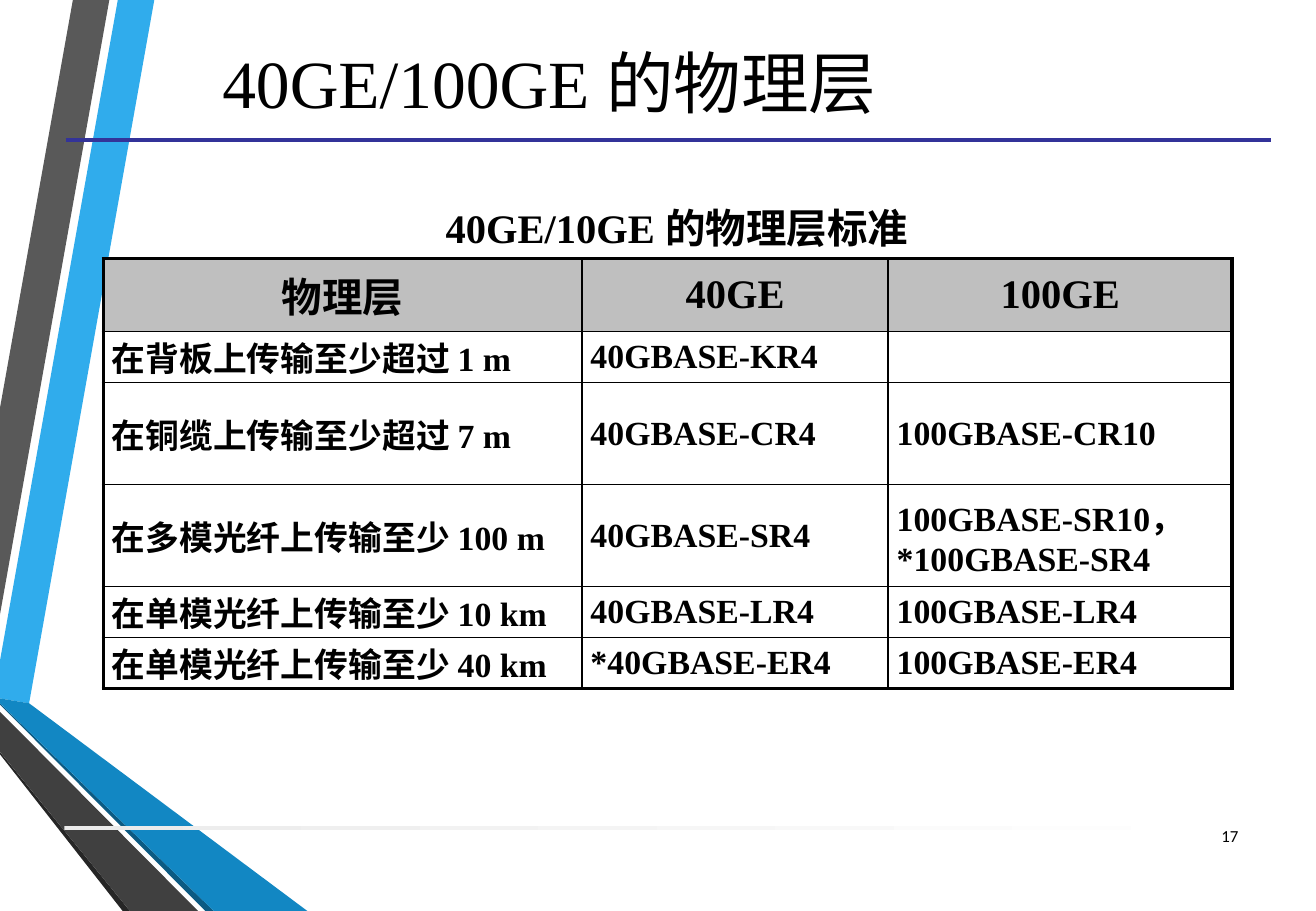
import lxml.etree
import pptx
import pptx.dml.color
import pptx.enum.shapes
import pptx.enum.text
import pptx.oxml.ns
import pptx.util

PX = 9144  # EMU per px, 100 px to the inch
SERIF = "Times New Roman"
SANS = "Calibri"
ALIGN = pptx.enum.text.PP_ALIGN
MIDDLE = pptx.enum.text.MSO_ANCHOR.MIDDLE
THIN, THICK = 1, 2.25

COLORS = {
    "text": "000000",
    "header": "BFBFBF",
    "title_rule": "333399",
    "fade_start": "EBEBEB",
    "fade_end": "FFFFFF",
    "sky": "30ACEC",
    "gray": "595959",
    "black": "262626",
    "teal": "0C5A82",
    "blue": "1287C3",
    "charcoal": "404040",
}

RIBBONS = [
    ("sky", [(0, 544), (0, 575), (24, 579), (127, 0), (97, 0)]),
    ("gray", [(90, 0), (60, 0), (0, 336), (0, 506)]),
    ("black", [(0, 619), (0, 621), (101, 750), (107, 750)]),
    ("teal", [(0, 579), (0, 580), (169, 750), (176, 750)]),
    ("blue", [(0, 579), (176, 750), (253, 750), (24, 579), (0, 575)]),
    ("charcoal", [(0, 619), (107, 750), (163, 750), (0, 586)]),
]

COLUMN_WIDTHS = [394, 252, 283]
ROW_HEIGHTS = [60, 42, 84, 84, 42, 42]
STANDARDS = [
    ["物理层", "40GE", "100GE"],
    ["在背板上传输至少超过 1 m", "40GBASE-KR4", ""],
    ["在铜缆上传输至少超过 7 m", "40GBASE-CR4", "100GBASE-CR10"],
    ["在多模光纤上传输至少 100 m", "40GBASE-SR4", "100GBASE-SR10，\n*100GBASE-SR4"],
    ["在单模光纤上传输至少 10 km", "40GBASE-LR4", "100GBASE-LR4"],
    ["在单模光纤上传输至少 40 km", "*40GBASE-ER4", "100GBASE-ER4"],
]


def px(*lengths):
    return [pptx.util.Emu(length * PX) for length in lengths]


def rgb(name):
    return pptx.dml.color.RGBColor.from_string(COLORS[name])


def format_paragraph(paragraph, size, align, font=SERIF, bold=False):
    paragraph.alignment = align
    paragraph.font.size = pptx.util.Pt(size)
    paragraph.font.name = font
    paragraph.font.bold = bold
    paragraph.font.color.rgb = rgb("text")


def add_ribbon(slide, color, points):
    start, *others = points
    builder = slide.shapes.build_freeform(*start, scale=PX)
    builder.add_line_segments(others, close=True)
    shape = builder.convert_to_shape()
    shape.shadow.inherit = False
    shape.fill.solid()
    shape.fill.fore_color.rgb = rgb(color)
    shape.line.fill.background()


def add_fading_bar(slide, *box):
    shape = slide.shapes.add_shape(
        pptx.enum.shapes.MSO_SHAPE.RECTANGLE, *px(*box))
    shape.shadow.inherit = False
    shape.line.fill.background()
    shape.fill.gradient()
    shape.fill.gradient_angle = 0
    for stop, name in zip(shape.fill.gradient_stops, ("fade_start", "fade_end")):
        stop.color.rgb = rgb(name)


def add_rule(slide, *ends):
    connector = slide.shapes.add_connector(
        pptx.enum.shapes.MSO_CONNECTOR.STRAIGHT, *px(*ends))
    connector.line.color.rgb = rgb("title_rule")
    connector.line.width = pptx.util.Pt(THICK)
    lxml.etree.SubElement(
        connector.element.spPr, pptx.oxml.ns.qn("a:effectLst"))


def add_title(slide, *box):
    title = slide.shapes.title
    slide.shapes.element.append(title.element)  # bring in front of the ribbons
    title.left, title.top, title.width, title.height = px(*box)
    title.text_frame.vertical_anchor = MIDDLE
    paragraph = title.text_frame.paragraphs[0]
    format_paragraph(paragraph, 40, ALIGN.CENTER)
    paragraph.add_run().text = "40GE/100GE 的"
    layer_run = paragraph.add_run()
    layer_run.text = "物理层"
    layer_run.font.name = SANS


def add_text(slide, box, text, *style, **options):
    frame = slide.shapes.add_textbox(*px(*box)).text_frame
    frame.word_wrap = True
    frame.vertical_anchor = MIDDLE
    frame.text = text
    format_paragraph(frame.paragraphs[0], *style, **options)


def set_borders(cell, **widths):
    """Draw the borders named L, R, T and B, widths in points."""
    properties = cell._tc.get_or_add_tcPr()
    for side, width in widths.items():
        line = lxml.etree.SubElement(
            properties, pptx.oxml.ns.qn(f"a:ln{side}"),
            w=str(int(pptx.util.Pt(width))))
        fill = lxml.etree.SubElement(line, pptx.oxml.ns.qn("a:solidFill"))
        lxml.etree.SubElement(
            fill, pptx.oxml.ns.qn("a:srgbClr"), val=COLORS["text"])


def fill_cell(cell, text, is_header):
    cell.vertical_anchor = MIDDLE
    cell.margin_left, cell.margin_right = px(7, 7)
    cell.margin_top = cell.margin_bottom = 0
    cell.text = text
    size, align = (24, ALIGN.CENTER) if is_header else (20, ALIGN.JUSTIFY)
    for paragraph in cell.text_frame.paragraphs:
        format_paragraph(paragraph, size, align, bold=True)
    if is_header:
        cell.fill.solid()
        cell.fill.fore_color.rgb = rgb("header")
    else:
        cell.fill.background()


def add_standards_table(slide, left, top):
    last_row, last_column = len(ROW_HEIGHTS) - 1, len(COLUMN_WIDTHS) - 1
    box = px(left, top, sum(COLUMN_WIDTHS), sum(ROW_HEIGHTS))
    table = slide.shapes.add_table(last_row + 1, last_column + 1, *box).table
    table.first_row = table.horz_banding = False
    for column, width in zip(table.columns, px(*COLUMN_WIDTHS)):
        column.width = width
    for row, height in zip(table.rows, px(*ROW_HEIGHTS)):
        row.height = height
    for r, texts in enumerate(STANDARDS):
        for c, text in enumerate(texts):
            cell = table.cell(r, c)
            set_borders(
                cell,
                L=THICK if c == 0 else THIN,
                R=THICK if c == last_column else THIN,
                T=THICK if r == 0 else THIN,
                B=THICK if r == last_row else THIN,
            )
            fill_cell(cell, text, is_header=r == 0)


def main():
    presentation = pptx.Presentation()
    presentation.slide_width, presentation.slide_height = px(1083, 750)
    slide = presentation.slides.add_slide(presentation.slide_layouts[5])
    for color, points in RIBBONS:
        add_ribbon(slide, color, points)
    add_fading_bar(slide, 53, 680, 975, 3)
    add_rule(slide, 54, 115, 1046, 115)
    add_title(slide, 43, 5, 818, 124)
    add_standards_table(slide, 85, 213)
    add_text(slide, (195, 162, 724, 50), "40GE/10GE 的物理层标准",
             24, ALIGN.CENTER, bold=True)
    add_text(slide, (978, 668, 51, 40), "17", 10, ALIGN.RIGHT, font=SANS)
    presentation.save("out.pptx")


if __name__ == "__main__":
    main()
